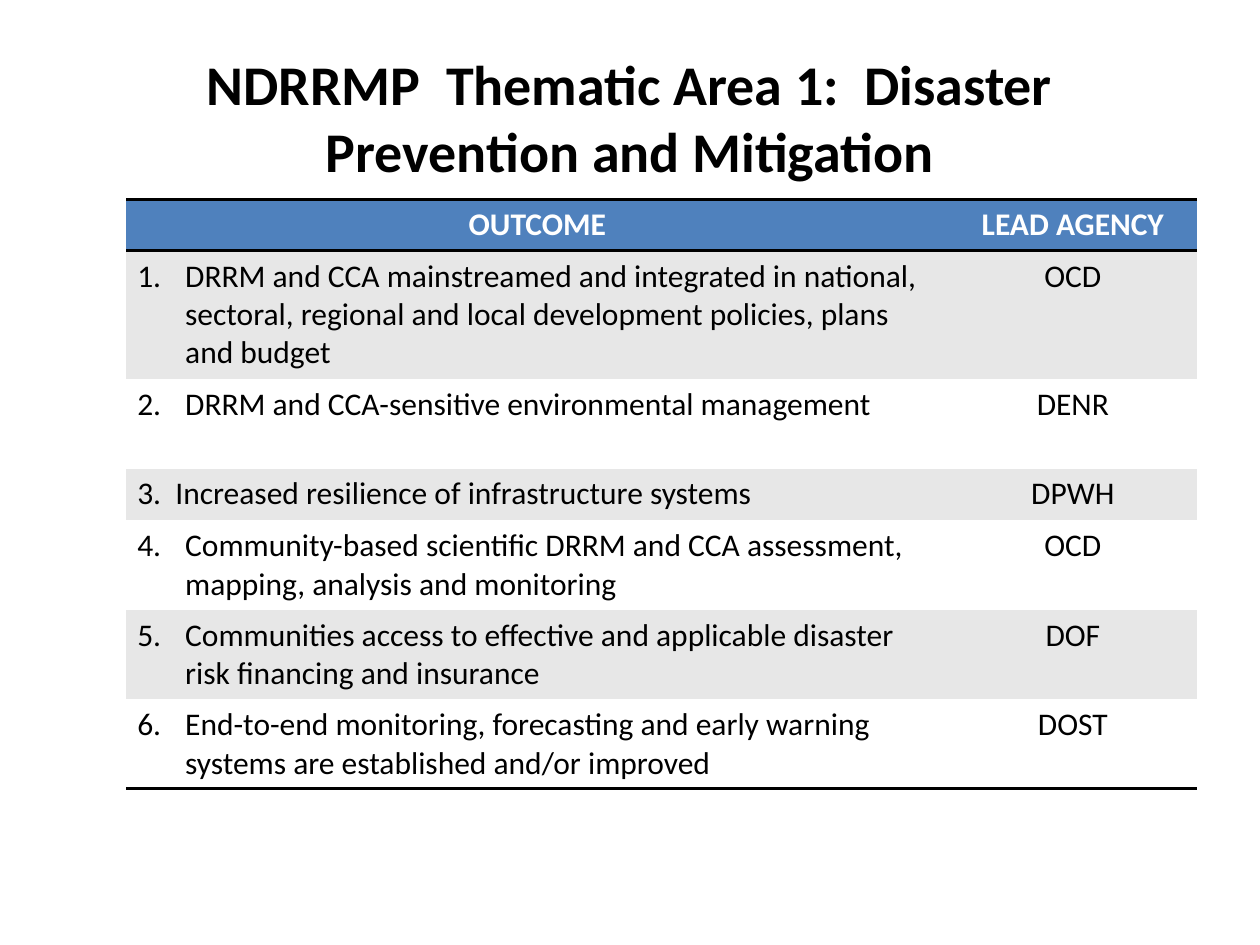
from dataclasses import dataclass
from typing import Optional

import lxml.etree
import pptx
import pptx.dml.color
import pptx.enum.text
import pptx.oxml.ns
import pptx.table
import pptx.text.text
import pptx.util

Inches = pptx.util.Inches
Align = pptx.enum.text.PP_ALIGN
Anchor = pptx.enum.text.MSO_ANCHOR
qn = pptx.oxml.ns.qn


@dataclass(frozen=True)
class Theme:
    font: str = "Calibri"
    title_size: int = 32
    table_size: int = 18
    ink: str = "000000"
    paper: str = "FFFFFF"
    header: str = "4F81BD"
    band: str = "E7E7E7"
    rule_width: int = 2


@dataclass(frozen=True)
class Outcome:
    text: str
    agency: str
    height: float
    number: Optional[int] = None


THEME = Theme()
HEADER_HEIGHT = 0.41
COLUMN_WIDTHS = (6.53, 1.97)
NUMBER_INDENT = 0.38
OUTCOMES = (
    Outcome("DRRM and CCA mainstreamed and integrated in national, sectoral, "
            "regional and local development policies, plans and budget", "OCD", 1.02, 1),
    Outcome("DRRM and CCA-sensitive environmental management", "DENR", 0.71, 2),
    Outcome("3.  Increased resilience of infrastructure systems", "DPWH", 0.41),
    Outcome("Community-based scientific DRRM and CCA assessment, mapping, "
            "analysis and monitoring", "OCD", 0.71, 4),
    Outcome("Communities access to effective and applicable disaster risk "
            "financing and insurance", "DOF", 0.71, 5),
    Outcome("End-to-end monitoring, forecasting and early warning systems are "
            "established and/or improved", "DOST", 0.71, 6),
)


def number_paragraph(para: pptx.text.text._Paragraph, start: int) -> None:
    properties = para._p.get_or_add_pPr()
    properties.set("marL", str(Inches(NUMBER_INDENT)))
    properties.set("indent", str(-Inches(NUMBER_INDENT)))
    bullet = lxml.etree.SubElement(properties, qn("a:buAutoNum"))
    bullet.set("type", "arabicPeriod")
    bullet.set("startAt", str(start))


def write_text(frame: pptx.text.text.TextFrame, text: str, *, size: int,
               color: str = THEME.ink, bold: bool = False,
               align: Align = Align.LEFT, number: Optional[int] = None) -> None:
    para = frame.paragraphs[0]
    para.alignment = align
    if number is not None:
        number_paragraph(para, number)
    span = para.add_run()
    span.text = text
    span.font.name = THEME.font
    span.font.size = pptx.util.Pt(size)
    span.font.bold = bold
    span.font.color.rgb = pptx.dml.color.RGBColor.from_string(color)


def set_borders(cell: pptx.table._Cell, ruled_sides: str) -> None:
    properties = cell._tc.get_or_add_tcPr()
    for side in "LRTB":
        line = lxml.etree.SubElement(properties, qn(f"a:ln{side}"))
        if side in ruled_sides:
            line.set("w", str(pptx.util.Pt(THEME.rule_width)))
            fill = lxml.etree.SubElement(line, qn("a:solidFill"))
            lxml.etree.SubElement(fill, qn("a:srgbClr")).set("val", THEME.ink)
        else:
            lxml.etree.SubElement(line, qn("a:noFill"))


def fill_cell(cell: pptx.table._Cell, text: str, *, fill: str,
              ruled_sides: str = "", **text_format) -> None:
    cell.margin_left = cell.margin_right = Inches(0.09)
    cell.margin_top = cell.margin_bottom = Inches(0.05)
    set_borders(cell, ruled_sides)
    cell.fill.solid()
    cell.fill.fore_color.rgb = pptx.dml.color.RGBColor.from_string(fill)
    write_text(cell.text_frame, text, size=THEME.table_size, **text_format)


def add_title(page: pptx.slide.Slide, text: str) -> None:
    title = page.shapes.title
    title.left, title.top = Inches(0.5), Inches(0.3)
    title.width, title.height = Inches(9), Inches(1.25)
    title.text_frame.word_wrap = True
    title.text_frame.vertical_anchor = Anchor.MIDDLE
    write_text(title.text_frame, text, size=THEME.title_size, bold=True, align=Align.CENTER)


def add_outcome_table(page: pptx.slide.Slide) -> None:
    heights = [HEADER_HEIGHT] + [outcome.height for outcome in OUTCOMES]
    table = page.shapes.add_table(
        len(heights), len(COLUMN_WIDTHS), Inches(1), Inches(1.58),
        Inches(sum(COLUMN_WIDTHS)), Inches(sum(heights))).table
    table.horz_banding = False
    for column, width in zip(table.columns, COLUMN_WIDTHS):
        column.width = Inches(width)
    for row, height in zip(table.rows, heights):
        row.height = Inches(height)

    for column, heading in enumerate(("OUTCOME", "LEAD AGENCY")):
        fill_cell(table.cell(0, column), heading, fill=THEME.header, ruled_sides="TB",
                  color=THEME.paper, bold=True, align=Align.CENTER)
    for row, outcome in enumerate(OUTCOMES, start=1):
        fill = THEME.band if row % 2 else THEME.paper
        sides = "T" if row == 1 else "B" if row == len(OUTCOMES) else ""
        fill_cell(table.cell(row, 0), outcome.text, fill=fill, ruled_sides=sides,
                  number=outcome.number)
        fill_cell(table.cell(row, 1), outcome.agency, fill=fill, ruled_sides=sides,
                  align=Align.CENTER)


def main() -> None:
    deck = pptx.Presentation()
    deck.slide_width, deck.slide_height = Inches(10), Inches(7.5)
    page = deck.slides.add_slide(deck.slide_layouts.get_by_name("Title Only"))
    add_title(page, "NDRRMP  Thematic Area 1:  Disaster Prevention and Mitigation")
    add_outcome_table(page)
    deck.save("out.pptx")


if __name__ == "__main__":
    main()
